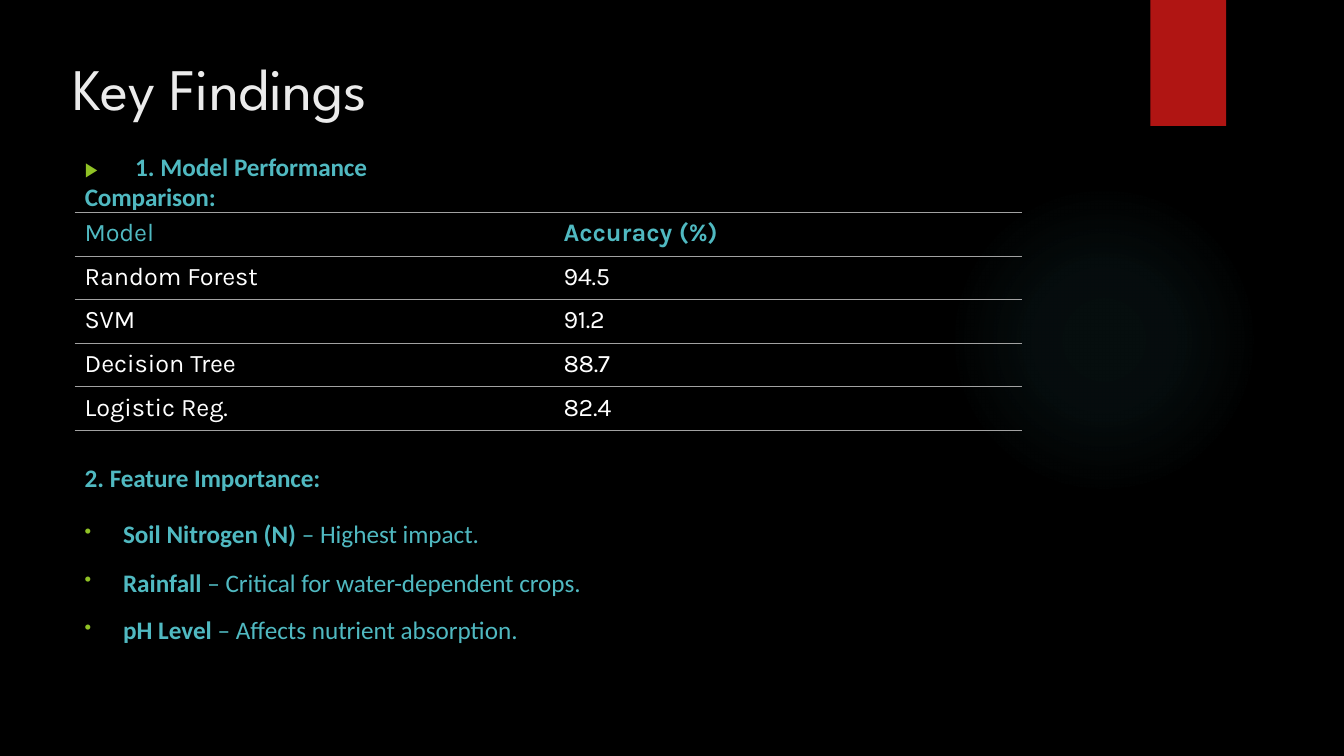
"""Build the Key Findings slide: a model accuracy table and feature importance notes."""
from dataclasses import dataclass
from typing import Optional

from lxml import etree
from pptx import Presentation
from pptx import util as u
from pptx.dml.color import RGBColor
from pptx.enum import shapes, text
from pptx.oxml import parse_xml
from pptx.oxml.ns import nsdecls, qn

WIDTH, HEIGHT = u.Inches(13.33), u.Inches(7.5)


@dataclass(frozen=True)
class Theme:
    back: str = "000000"
    title: str = "EBEBEB"
    accent: str = "50B9C1"
    body: str = "FFFFFF"
    marker: str = "90C225"
    ribbon: str = "B01513"
    rule: str = "A2A2A2"
    title_font: str = "League Spartan"
    text_font: str = "Calibri"
    table_font: str = "Karla"
    marker_font: str = "Courier New"
    title_size: float = 42
    text_size: float = 18
    marker_size: float = 14


THEME = Theme()


@dataclass(frozen=True)
class Box:
    """A rectangle in percent of the slide's width and height."""
    left: float
    top: float
    width: float
    height: float

    def emu(self) -> tuple:
        return across(self.left), down(self.top), across(self.width), down(self.height)


@dataclass(frozen=True)
class Run:
    words: str
    bold: bool = False
    spacing: float = 0
    color: str = THEME.accent
    font: str = THEME.text_font
    size: float = THEME.text_size


@dataclass(frozen=True)
class Para:
    """A paragraph; margin, indent and tab are percent of the slide's width."""
    runs: tuple
    before: float = 1
    margin: float = 0.08
    indent: float = 0
    level: int = 0
    tab: Optional[float] = None
    number: Optional[int] = None
    bullet: bool = False


def across(percent: float) -> int:
    return round(WIDTH * percent / 100)


def down(percent: float) -> int:
    return round(HEIGHT * percent / 100)


def rgb(color: str) -> RGBColor:
    return RGBColor.from_string(color)


def write_para(p, para: Para) -> None:
    p.alignment = text.PP_ALIGN.LEFT
    p.level = para.level
    p.space_before = u.Pt(para.before)
    p_pr = p._p.get_or_add_pPr()
    p_pr.set("marL", str(across(para.margin)))
    p_pr.set("indent", str(across(para.indent)))
    if para.bullet:
        color = etree.SubElement(p_pr, qn("a:buClr"))
        etree.SubElement(color, qn("a:srgbClr"), val=THEME.marker)
        etree.SubElement(p_pr, qn("a:buSzPct"), val="78000")
        etree.SubElement(p_pr, qn("a:buChar"), char="•")
    elif para.number:
        etree.SubElement(p_pr, qn("a:buAutoNum"), type="arabicPeriod", startAt=str(para.number))
    else:
        etree.SubElement(p_pr, qn("a:buNone"))
    if para.tab:
        tabs = etree.SubElement(p_pr, qn("a:tabLst"))
        etree.SubElement(tabs, qn("a:tab"), pos=str(across(para.tab)), algn="l")
    for run in para.runs:
        r = p.add_run()
        r.text = run.words
        r.font.name, r.font.size, r.font.bold = run.font, u.Pt(run.size), run.bold
        r.font.color.rgb = rgb(run.color)
        r._r.get_or_add_rPr().set("spc", str(round(run.spacing * 100)))


def write_frame(sp, box: Box, paras: list) -> None:
    sp.left, sp.top, sp.width, sp.height = box.emu()
    tf = sp.text_frame
    tf.margin_left = tf.margin_right = tf.margin_bottom = 0
    tf.margin_top = down(0.17)
    tf.word_wrap = True
    tf.vertical_anchor = text.MSO_ANCHOR.TOP
    tf.auto_size = text.MSO_AUTO_SIZE.SHAPE_TO_FIT_TEXT
    for i, para in enumerate(paras):
        write_para(tf.add_paragraph() if i else tf.paragraphs[0], para)


def add_text(s, box: Box, paras: list) -> None:
    write_frame(s.shapes.add_textbox(*box.emu()), box, paras)


def add_plain(s, kind: shapes.MSO_SHAPE, box: Box, color: str):
    sp = s.shapes.add_shape(kind, *box.emu())
    sp.shadow.inherit = False
    sp.fill.solid()
    sp.fill.fore_color.rgb = rgb(color)
    sp.line.fill.background()
    return sp


def add_glow(s, box: Box) -> None:
    sp = add_plain(s, shapes.MSO_SHAPE.OVAL, box, THEME.accent)
    stops = "".join(
        f'<a:gs pos="{pos * 1000}"><a:srgbClr val="{THEME.accent}">'
        f'<a:alpha val="{alpha * 1000}"/></a:srgbClr></a:gs>'
        for pos, alpha in ((0, 7), (36, 6), (69, 0), (100, 0)))
    gradient = parse_xml(
        f'<a:gradFill {nsdecls("a")} rotWithShape="1"><a:gsLst>{stops}</a:gsLst><a:path path="circle">'
        '<a:fillToRect l="50000" t="50000" r="50000" b="50000"/></a:path></a:gradFill>')
    sp_pr = sp._element.spPr
    sp_pr.replace(sp_pr.find(qn("a:solidFill")), gradient)


def add_models(s, box: Box, columns: tuple, rows: list) -> None:
    table = s.shapes.add_table(len(rows), len(columns), *box.emu()).table
    table.first_row = table.horz_banding = False
    table._tbl.tblPr.find(qn("a:tableStyleId")).text = "{2D5ABB26-0587-4C30-8999-92F81FD0307C}"
    for column, width in zip(table.columns, columns):
        column.width = across(width)
    for i, row in enumerate(rows):
        table.rows[i].height = down(box.height / len(rows))
        for j, words in enumerate(row):
            cell = table.cell(i, j)
            cell.margin_left = cell.margin_right = cell.margin_bottom = 0
            cell.margin_top = down(0.8)
            for side in ("a:lnT", "a:lnB"):
                line = etree.SubElement(cell._tc.get_or_add_tcPr(), qn(side), w=str(u.Pt(0.5)))
                fill = etree.SubElement(line, qn("a:solidFill"))
                etree.SubElement(fill, qn("a:srgbClr"), val=THEME.rule)
            cell.fill.background()
            header = i == 0
            color = THEME.body if i else THEME.accent
            *first, last = words.split(" ")
            runs = [Run(part + " ", header and j == 1, 0, color, THEME.table_font) for part in first]
            tight = -0.2 if j else -0.1
            runs.append(Run(last, header and j == 1, tight, color, THEME.table_font))
            write_para(cell.text_frame.paragraphs[0],
                       Para(tuple(runs), before=4.3, margin=11.55 if j else 0.75))


def feature(name: str, note: str, before: float) -> Para:
    return Para((Run(name + " ", True), Run("– " + note, spacing=-0.03)), before,
                margin=2.93, indent=-2.85, level=1, tab=2.93, bullet=True)


def main() -> None:
    prs = Presentation()
    prs.slide_width, prs.slide_height = WIDTH, HEIGHT
    s = prs.slides.add_slide(prs.slide_layouts[5])
    s.background.fill.solid()
    s.background.fill.fore_color.rgb = rgb(THEME.back)

    add_glow(s, Box(70.59, 24.4, 23.1, 41.07))
    add_plain(s, shapes.MSO_SHAPE.RECTANGLE, Box(85.6, 0, 5.63, 16.67), THEME.ribbon)
    heading = Run("Key Findings", False, -0.05, THEME.title, THEME.title_font, THEME.title_size)
    write_frame(s.shapes.title, Box(5.33, 6.67, 77.19, 20.4), [Para((heading,), 1.1)])
    marker = Run("▶\t", False, 0.8, THEME.marker, THEME.marker_font, THEME.marker_size)
    add_text(s, Box(6.23, 19.87, 30.53, 4.4), [
        Para((marker, Run("1. Model ", True), Run("Performance Comparison:", True, -0.1)), tab=2.93)])
    add_text(s, Box(6.23, 60.93, 37.28, 24.53), [
        Para((Run("Feature Importance:", True, -0.1),), margin=1.95, indent=-1.88, tab=1.95, number=2),
        feature("Soil Nitrogen (N)", "Highest impact.", 19),
        feature("Rainfall", "Critical for water-dependent crops.", 12.9),
        feature("pH Level", "Affects nutrient absorption.", 12.2)])
    add_models(s, Box(5.55, 28.13, 70.52, 28.8), (24.83, 45.69), [
        ("Model", "Accuracy (%)"),
        ("Random Forest", "94.5"),
        ("SVM", "91.2"),
        ("Decision Tree", "88.7"),
        ("Logistic Reg.", "82.4")])
    prs.save("out.pptx")


if __name__ == "__main__":
    main()
